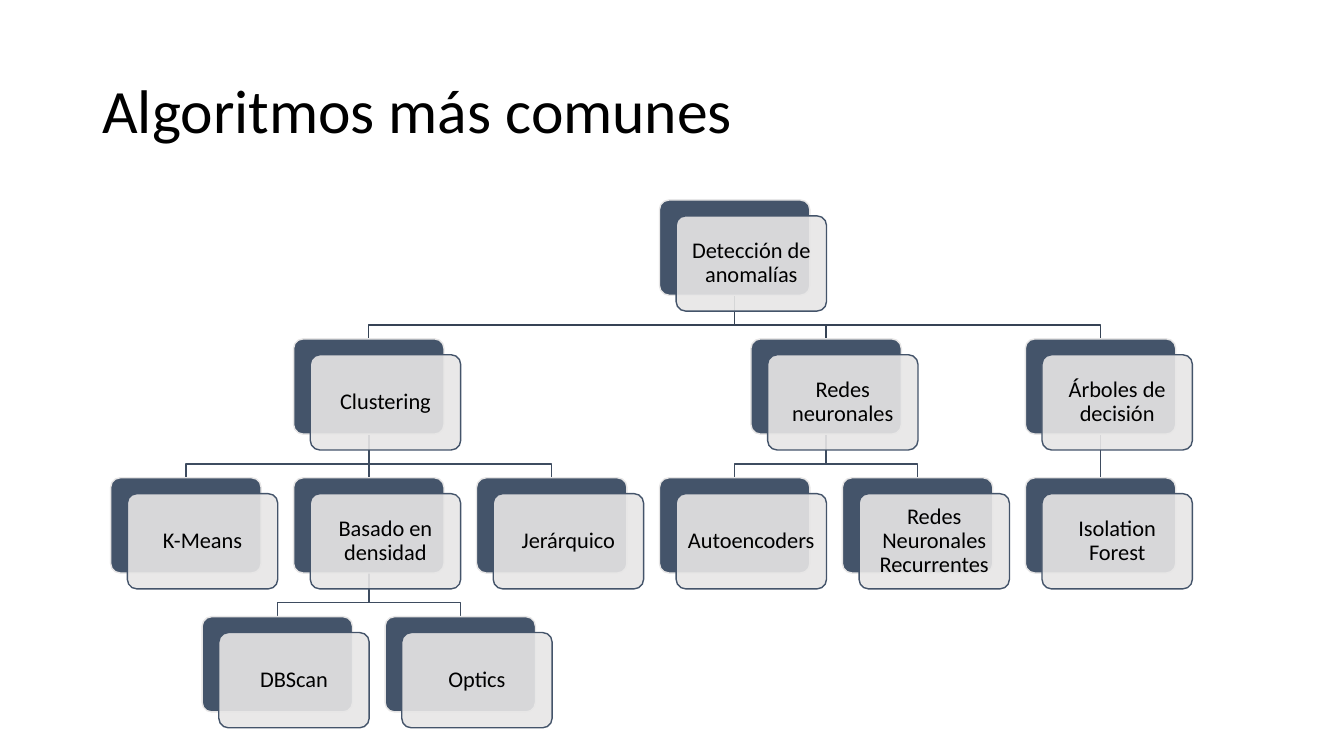
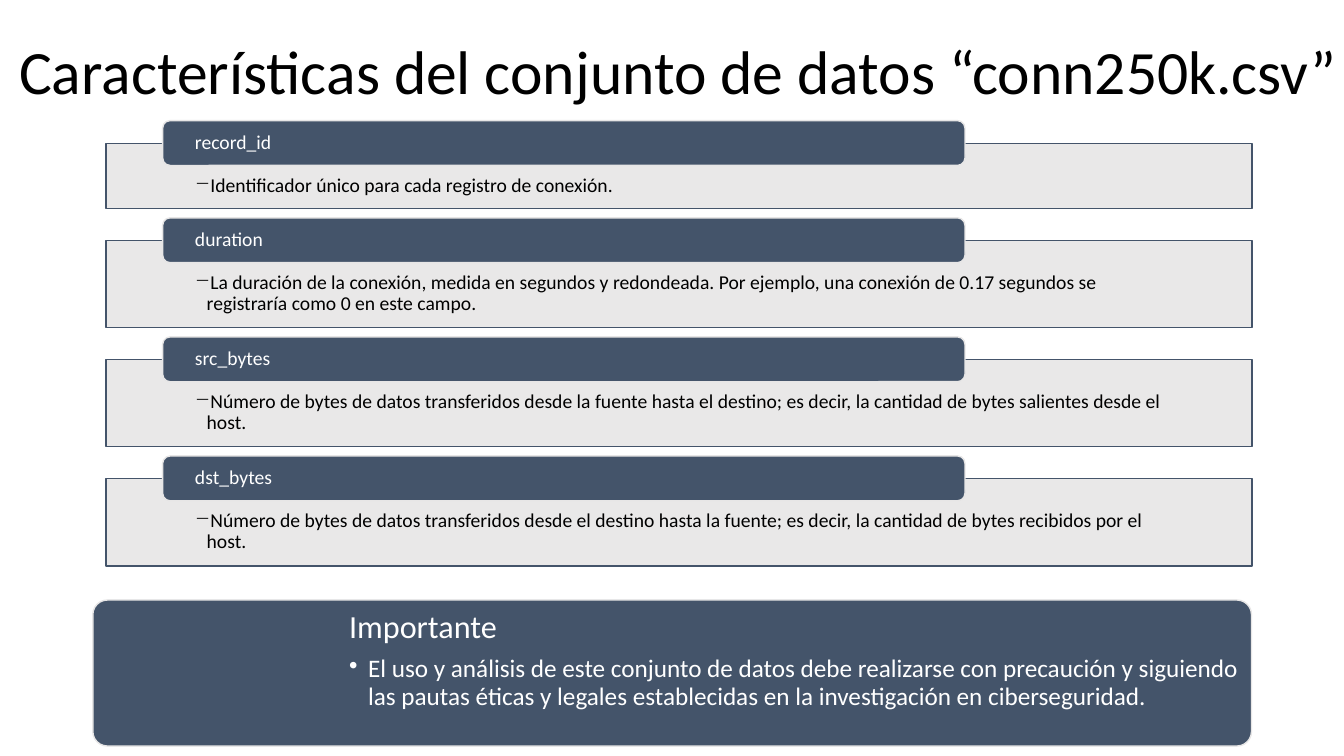
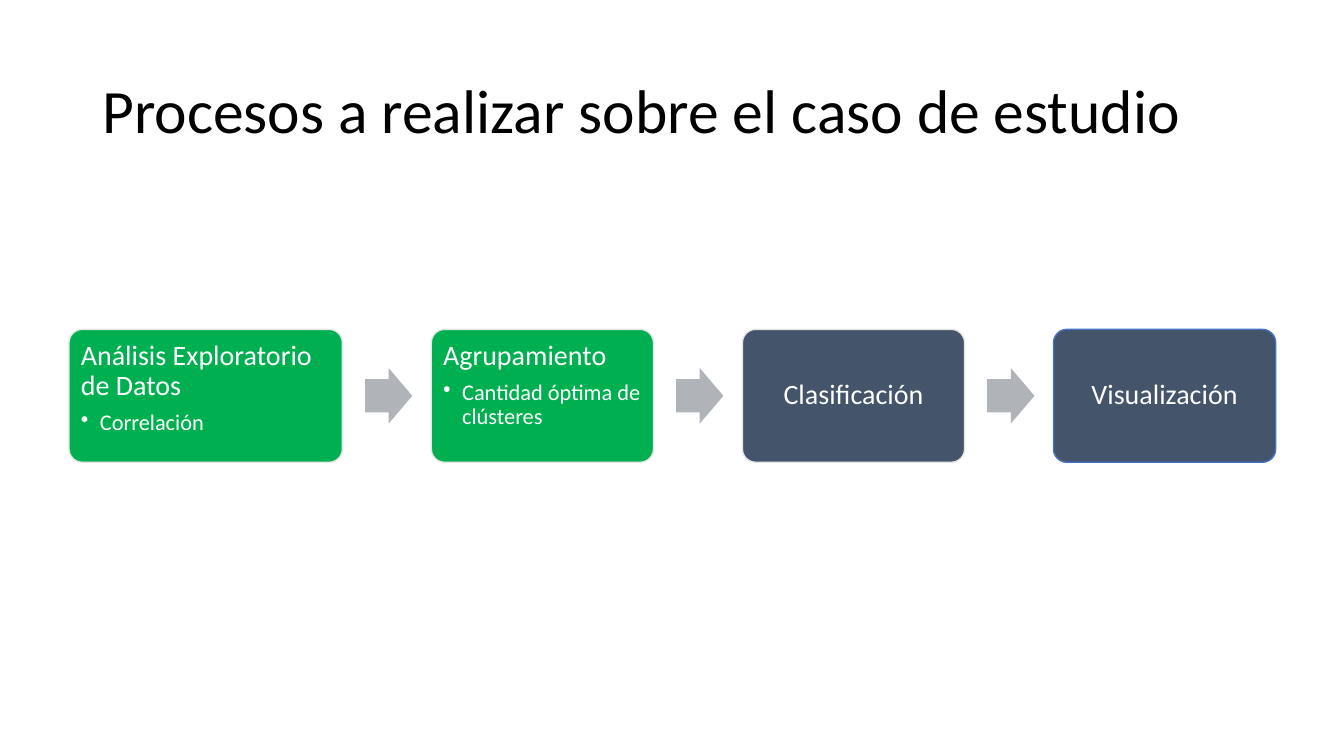
"""Three slides on anomaly detection: algorithms, data set features and process."""

from dataclasses import dataclass
from typing import Optional

from lxml.etree import SubElement
from pptx import Presentation
from pptx.dml.color import RGBColor
from pptx.enum.shapes import MSO_CONNECTOR, MSO_SHAPE
from pptx.enum.text import MSO_ANCHOR, PP_ALIGN
from pptx.oxml.ns import qn
from pptx.presentation import Presentation as Deck
from pptx.shapes.autoshape import Shape
from pptx.slide import Slide
from pptx.util import Cm, Pt

FONT = "Calibri"
COLORS = {
    "black": "000000",
    "white": "FFFFFF",
    "slate": "44546A",
    "pale": "E7E6E6",
    "green": "00B050",
    "blue": "4472C4",
    "arrow": "B0B4B9",
    "root_link": "364355",
    "link": "3E4C60",
}
INSETS = ("margin_left", "margin_top", "margin_right", "margin_bottom")


@dataclass(frozen=True)
class Box:
    """A rectangle in centimetres."""

    left: float
    top: float
    width: float
    height: float

    def lengths(self) -> list[Cm]:
        """Return left, top, width and height as lengths."""
        return [Cm(v) for v in (self.left, self.top, self.width, self.height)]


@dataclass(frozen=True)
class Para:
    """One paragraph; a bullet comes with its hanging indent in centimetres."""

    text: str
    size: float
    color: str = "white"
    align: PP_ALIGN = PP_ALIGN.LEFT
    after: float = 0
    bullet: str = ""
    indent: float = 0


@dataclass(frozen=True)
class Look:
    """Fill, outline and corner of a shape."""

    fill: str
    line: Optional[str] = None
    alpha: int = 100
    adjust: tuple[float, ...] = ()


@dataclass(frozen=True)
class Node:
    """A box of the tree, placed by column and level."""

    text: str
    col: float
    level: int
    parent: Optional[str] = None


@dataclass(frozen=True)
class Feature:
    """A field of the data set with its description."""

    name: str
    description: str
    height: float = 2.2


@dataclass(frozen=True)
class Step:
    """A step of the process."""

    name: str
    fill: str = "slate"
    line: str = "pale"
    detail: str = ""
    width: float = 5.6


SLATE = Look("slate", "pale", adjust=(0.1,))
GLASS = Look("pale", "slate", alpha=90, adjust=(0.1,))
PILL = Look("slate", "pale")
PANEL = Look("pale", "slate", alpha=90)
ARROW = Look("arrow", adjust=(0.6, 0.5))

TITLE_BOX = Box(2.33, 1.02, 29.2, 3.68)
WIDE_TITLE_BOX = Box(0.23, 0.05, 33.88, 3.68)

TREE_LEFT, TREE_TOP = 2.79, 5.04
COL_PITCH, LEVEL_PITCH = 4.61, 3.5
NODE_W, NODE_H = 3.79, 2.4
FRONT_DX, FRONT_DY = 0.42, 0.4
BEND = 0.75

NODES = [
    Node("Detección de anomalías", 3, 0),
    Node("Clustering", 1, 1, "Detección de anomalías"),
    Node("K-Means", 0, 2, "Clustering"),
    Node("Basado en densidad", 1, 2, "Clustering"),
    Node("DBScan", 0.5, 3, "Basado en densidad"),
    Node("Optics", 1.5, 3, "Basado en densidad"),
    Node("Jerárquico", 2, 2, "Clustering"),
    Node("Redes neuronales", 3.5, 1, "Detección de anomalías"),
    Node("Autoencoders", 3, 2, "Redes neuronales"),
    Node("Redes Neuronales Recurrentes", 4, 2, "Redes neuronales"),
    Node("Árboles de decisión", 5, 1, "Detección de anomalías"),
    Node("Isolation Forest", 5, 2, "Árboles de decisión"),
]

FEATURE_TOP, FEATURE_GAP = 3.61, 0.8
FEATURES = [
    Feature("record_id", "Identificador único para cada registro de conexión.", 1.65),
    Feature("duration", "La duración de la conexión, medida en segundos y redondeada. "
            "Por ejemplo, una conexión de 0.17 segundos se registraría como 0 en este campo."),
    Feature("src_bytes", "Número de bytes de datos transferidos desde la fuente hasta el "
            "destino; es decir, la cantidad de bytes salientes desde el host."),
    Feature("dst_bytes", "Número de bytes de datos transferidos desde el destino hasta la "
            "fuente; es decir, la cantidad de bytes recibidos por el host."),
]
WARNING = ("El uso y análisis de este conjunto de datos debe realizarse con precaución y "
           "siguiendo las pautas éticas y legales establecidas en la investigación en "
           "ciberseguridad.")

STEP_LEFT, STEP_TOP, STEP_H, STEP_GAP = 1.74, 8.3, 3.35, 2.24
ARROW_DX, ARROW_W, ARROW_H = 0.57, 1.19, 1.4
STEPS = [
    Step("Análisis Exploratorio de Datos", "green", detail="Correlación", width=6.89),
    Step("Agrupamiento", "green", detail="Cantidad óptima de clústeres"),
    Step("Clasificación"),
    Step("Visualización", line="blue"),
]


def rgb(name: str) -> RGBColor:
    """Look up a colour by name."""
    return RGBColor.from_string(COLORS[name])


def set_all(target: object, values: dict[str, object]) -> None:
    """Set every attribute listed in values."""
    for name, value in values.items():
        setattr(target, name, value)


def write(s: Shape, paras: list[Para], anchor: MSO_ANCHOR,
          insets: tuple[float, float, float, float]) -> None:
    """Fill a shape with formatted paragraphs."""
    tf = s.text_frame
    set_all(tf, {"word_wrap": True, "vertical_anchor": anchor})
    set_all(tf, {k: Cm(v) for k, v in zip(INSETS, insets)})
    for i, para in enumerate(paras):
        p = tf.add_paragraph() if i else tf.paragraphs[0]
        set_all(p, {"alignment": para.align, "line_spacing": 0.9,
                    "space_after": Pt(para.after)})
        if para.bullet:
            p.level = 1
            pPr = p._p.get_or_add_pPr()
            pPr.set("marL", str(Cm(para.indent)))
            pPr.set("indent", str(-Cm(para.indent)))
            SubElement(pPr, qn("a:buChar")).set("char", para.bullet)
        r = p.add_run()
        r.text = para.text
        set_all(r.font, {"name": FONT, "size": Pt(para.size)})
        r.font.color.rgb = rgb(para.color)


def add_box(sl: Slide, kind: MSO_SHAPE, box: Box, look: Look) -> Shape:
    """Draw a preset shape with its look and no shadow."""
    s = sl.shapes.add_shape(kind, *box.lengths())
    s.shadow.inherit = False
    for i, value in enumerate(look.adjust):
        s.adjustments[i] = value
    s.fill.solid()
    s.fill.fore_color.rgb = rgb(look.fill)
    if look.alpha < 100:
        color = s._element.spPr.find(qn("a:solidFill"))[0]
        SubElement(color, qn("a:alpha")).set("val", str(look.alpha * 1000))
    if look.line:
        s.line.color.rgb = rgb(look.line)
        s.line.width = Pt(1)
    else:
        s.line.fill.background()
    return s


def new_slide(prs: Deck, title: str, box: Box = TITLE_BOX) -> Slide:
    """Add a blank slide with a title."""
    sl = prs.slides.add_slide(prs.slide_layouts[6])
    s = sl.shapes.add_textbox(*box.lengths())
    write(s, [Para(title, 44, "black")], MSO_ANCHOR.MIDDLE, (0.25, 0.13, 0.25, 0.13))
    return sl


def node_box(node: Node) -> Box:
    """Work out the back box of a tree node."""
    return Box(TREE_LEFT + node.col * COL_PITCH, TREE_TOP + node.level * LEVEL_PITCH,
               NODE_W, NODE_H)


def add_link(sl: Slide, parent: Node, child: Node) -> None:
    """Join a parent to a child, bending where their columns differ."""
    start, end = node_box(parent), node_box(child)
    x1, x2 = Cm(start.left + NODE_W / 2), Cm(end.left + NODE_W / 2)
    y1, y2 = Cm(start.top + NODE_H), Cm(end.top)
    if x1 == x2:
        s = sl.shapes.add_connector(MSO_CONNECTOR.STRAIGHT, x1, y1, x2, y2)
        SubElement(s._element.spPr, qn("a:effectLst"))
    else:
        bend = Cm(start.top + NODE_H + BEND)
        fb = sl.shapes.build_freeform(x1, y1)
        fb.add_line_segments([(x1, bend), (x2, bend), (x2, y2)], close=False)
        s = fb.convert_to_shape()
        s.shadow.inherit = False
        s.fill.background()
    s.line.color.rgb = rgb("link" if parent.level else "root_link")
    s.line.width = Pt(1)


def add_node(sl: Slide, node: Node) -> None:
    """Draw the back box and the lettered front box of a node."""
    back = node_box(node)
    front = Box(back.left + FRONT_DX, back.top + FRONT_DY, NODE_W, NODE_H)
    add_box(sl, MSO_SHAPE.ROUNDED_RECTANGLE, back, SLATE)
    s = add_box(sl, MSO_SHAPE.ROUNDED_RECTANGLE, front, GLASS)
    write(s, [Para(node.text, 16, "black", PP_ALIGN.CENTER)], MSO_ANCHOR.MIDDLE,
          (0.17, 0.17, 0.17, 0.17))


def algorithms_slide(prs: Deck) -> None:
    """Build the tree of algorithms."""
    sl = new_slide(prs, "Algoritmos más comunes")
    by_text = {node.text: node for node in NODES}
    for node in NODES:
        if node.parent:
            add_link(sl, by_text[node.parent], node)
    for node in NODES:
        add_node(sl, node)


def add_feature(sl: Slide, feature: Feature, top: float) -> None:
    """Draw a description panel with its name pill."""
    s = add_box(sl, MSO_SHAPE.RECTANGLE, Box(2.67, top, 28.88, feature.height), PANEL)
    write(s, [Para(feature.description, 14, "black", bullet="−", indent=0.3)],
          MSO_ANCHOR.TOP, (2.24, 0.81, 2.24, 0.28))
    s = add_box(sl, MSO_SHAPE.ROUNDED_RECTANGLE, Box(4.1, top - 0.57, 20.22, 1.13), PILL)
    write(s, [Para(feature.name, 14)], MSO_ANCHOR.MIDDLE, (0.76, 0, 0.76, 0))


def features_slide(prs: Deck) -> None:
    """Build the list of features and the warning."""
    sl = new_slide(prs, "Características del conjunto de datos “conn250k.csv”",
                   WIDE_TITLE_BOX)
    s = add_box(sl, MSO_SHAPE.ROUNDED_RECTANGLE, Box(2.34, 15.12, 29.2, 3.68), SLATE)
    write(s, [Para("Importante", 23, after=8),
              Para(WARNING, 18, bullet="•", indent=0.48)],
          MSO_ANCHOR.TOP, (6.35, 0.15, 0.15, 0.15))
    top = FEATURE_TOP
    for feature in FEATURES:
        add_feature(sl, feature, top)
        top += feature.height + FEATURE_GAP


def add_step(sl: Slide, step: Step, left: float) -> None:
    """Draw a step, centred unless it has a detail."""
    s = add_box(sl, MSO_SHAPE.ROUNDED_RECTANGLE, Box(left, STEP_TOP, step.width, STEP_H),
                Look(step.fill, step.line, adjust=(0.1,)))
    if step.detail:
        paras = [Para(step.name, 20, after=7),
                 Para(step.detail, 16, bullet="•", indent=0.48)]
        anchor = MSO_ANCHOR.TOP
    else:
        paras = [Para(step.name, 20, align=PP_ALIGN.CENTER)]
        anchor = MSO_ANCHOR.MIDDLE
    write(s, paras, anchor, (0.2, 0.2, 0.2, 0.2))


def process_slide(prs: Deck) -> None:
    """Build the row of steps joined by arrows."""
    sl = new_slide(prs, "Procesos a realizar sobre el caso de estudio")
    left = STEP_LEFT
    for i, step in enumerate(STEPS):
        if i:
            add_box(sl, MSO_SHAPE.RIGHT_ARROW,
                    Box(left - STEP_GAP + ARROW_DX, STEP_TOP + (STEP_H - ARROW_H) / 2,
                        ARROW_W, ARROW_H), ARROW)
        add_step(sl, step, left)
        left += step.width + STEP_GAP


def main() -> None:
    """Build and save the presentation."""
    prs = Presentation()
    set_all(prs, {"slide_width": Cm(33.87), "slide_height": Cm(19.05)})
    algorithms_slide(prs)
    features_slide(prs)
    process_slide(prs)
    prs.save("out.pptx")


if __name__ == "__main__":
    main()
